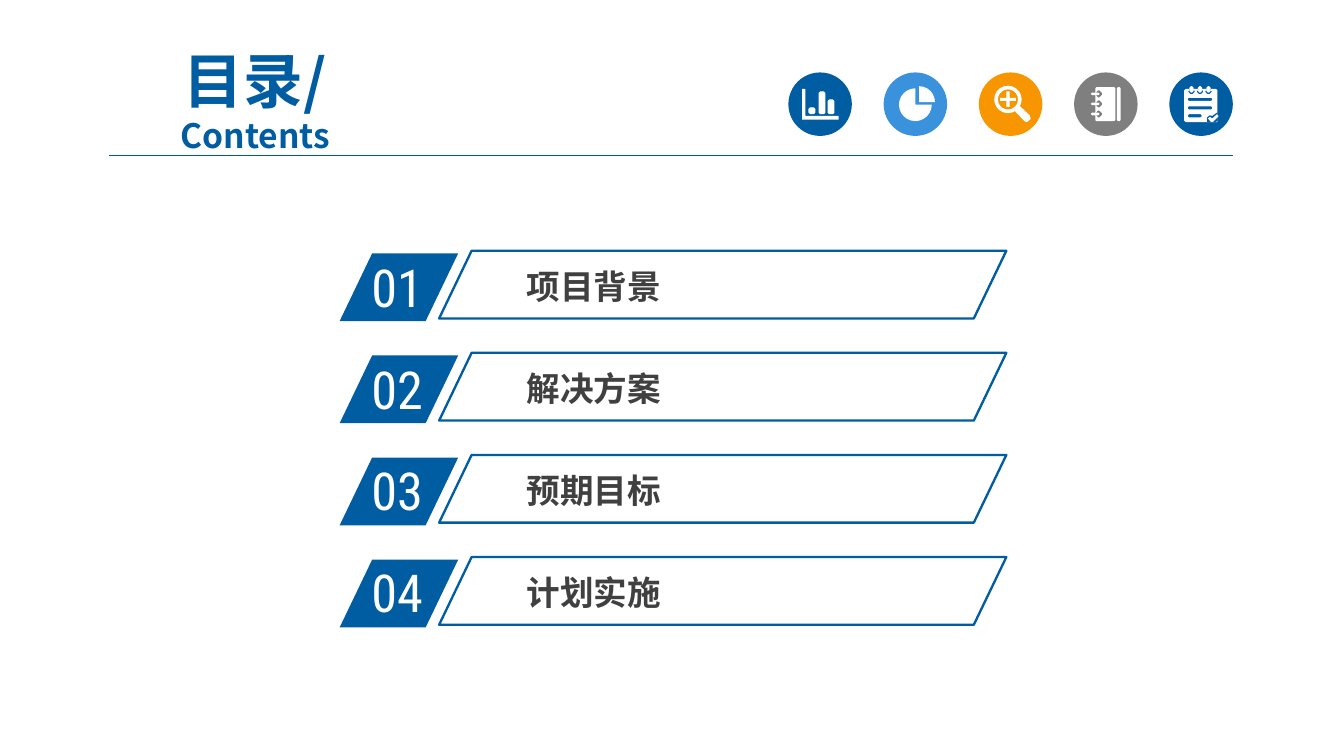
from math import cos, pi, sin

from lxml import etree
from pptx import Presentation
from pptx.dml.color import RGBColor
from pptx.enum.shapes import MSO_CONNECTOR, MSO_SHAPE
from pptx.enum.text import MSO_ANCHOR, PP_ALIGN
from pptx.oxml.ns import qn
from pptx.util import Cm, Pt

OVAL = MSO_SHAPE.OVAL
SLANTED = MSO_SHAPE.PARALLELOGRAM
STRAIGHT = MSO_CONNECTOR.STRAIGHT
MIDDLE = MSO_ANCHOR.MIDDLE
CENTER = PP_ALIGN.CENTER

CJK = "Noto Sans CJK SC"
NUMBER_FONT = "Roboto Condensed"
BLUE, WHITE = "005DA2", "FFFFFF"
rgb = RGBColor.from_string


def style(r, size, font, color, bold=False):
    r.font.size = Pt(size)
    r.font.bold = bold
    r.font.color.rgb = rgb(color)
    r.font.name = font
    etree.SubElement(r.font._element, qn("a:ea"), typeface=font)


def rounded(x, y, w, h, radius, steps=1):
    """Outline of a rounded box, clockwise from its right side."""
    corners = [(x + w - radius, y + h - radius), (x + radius, y + h - radius),
               (x + radius, y + radius), (x + w - radius, y + radius)]
    return [(cx + radius * cos(pi / 2 * (q + i / steps)),
             cy + radius * sin(pi / 2 * (q + i / steps)))
            for q, (cx, cy) in enumerate(corners) for i in range(steps + 1)]


prs = Presentation()
prs.slide_width, prs.slide_height = Cm(25.4), Cm(14.29)
s = prs.slides.add_slide(prs.slide_layouts[6])

# Title
tf = s.shapes.add_textbox(Cm(1.69), Cm(1.2), Cm(6.27), Cm(1.37)).text_frame
tf.word_wrap = True
tf.vertical_anchor = MIDDLE
p = tf.paragraphs[0]
p.alignment = CENTER
r = p.add_run()
r.text = "目录/"
style(r, 32, CJK, BLUE, True)
p.add_line_break()
r = p.add_run()
r.text = "Contents"
style(r, 18, CJK, BLUE, True)

# Header rule
rule = s.shapes.add_connector(STRAIGHT, Cm(2.06), Cm(2.94), Cm(23.3), Cm(2.94))
rule.line.color.rgb = rgb("005B9E")
rule.line.width = Pt(0.75)
etree.SubElement(rule._element.spPr, qn("a:effectLst"))

# Agenda numbers
topics = ["项目背景", "解决方案", "预期目标", "计划实施"]
for i in range(len(topics)):
    group = s.shapes.add_group_shape().shapes
    sp = group.add_shape(SLANTED, Cm(6.42), Cm(4.79 + 1.93 * i), Cm(2.24), Cm(1.28))
    sp.adjustments[0] = 0.48
    sp.shadow.inherit = False
    sp.fill.solid()
    sp.fill.fore_color.rgb = rgb(BLUE)
    sp.line.fill.background()

    tf = group.add_textbox(Cm(6.77), Cm(4.7 + 1.92 * i), Cm(2.13), Cm(1.24)).text_frame
    tf.word_wrap = True
    tf.text = f"{i + 1:02}"
    style(tf.paragraphs[0].runs[0], 28, NUMBER_FONT, WHITE)

# Agenda topics
for i, topic in enumerate(topics):
    y = 4.74 + 1.93 * i
    group = s.shapes.add_group_shape().shapes
    tf = group.add_textbox(Cm(9.77), Cm(y + 0.19), Cm(7.85), Cm(0.97)).text_frame
    tf.word_wrap = True
    tf.margin_left = tf.margin_right = Cm(0.18)
    tf.margin_top = tf.margin_bottom = Cm(0.1)
    tf.text = topic
    style(tf.paragraphs[0].runs[0], 18, CJK, "404040", True)

    sp = group.add_shape(SLANTED, Cm(8.3), Cm(y), Cm(10.72), Cm(1.28))
    sp.adjustments[0] = 0.48
    sp.shadow.inherit = False
    sp.fill.background()
    sp.line.color.rgb = rgb(BLUE)
    sp.line.width = Pt(1.25)

# Icon outlines in 0.01 cm from the badge corner; overlaps become holes
bar_chart = [
    [(26, 31), (32, 31), (32, 82), (95, 82), (95, 89), (26, 89)],
    rounded(38, 66, 13, 13, 3),
    rounded(57, 36, 13, 43, 3),
    rounded(74, 51, 13, 28, 3),
]
pie_chart = [
    [(60, 61)] + [(60 + 31 * cos(pi * a / 12), 61 + 31 * sin(pi * a / 12))
                  for a in range(19)],
    [(67, 56)] + [(67 + 30 * cos(pi * a / 12), 56 + 30 * sin(pi * a / 12))
                  for a in range(18, 25)],
]
magnifier = [
    rounded(29, 25, 52, 52, 26, 5),
    rounded(36, 32, 38, 38, 19, 5),
    [(68, 73), (73, 70), (78, 64), (96, 81), (98, 88), (91, 94), (86, 92)],
    [(52, 36), (58, 36), (58, 48), (70, 48), (70, 54), (58, 54),
     (58, 65), (52, 65), (52, 54), (40, 54), (40, 48), (52, 48)],
]
notebook = [rounded(40, 28, 38, 64, 2), rounded(81, 28, 7, 64, 2)]
for y in (34, 53, 72):
    notebook += [rounded(40, y, 13, 13, 5), rounded(32, y + 4, 16, 5, 2)]
checklist = [
    rounded(28, 31, 63, 63, 3),
    rounded(35, 48, 46, 6, 2),
    rounded(35, 64, 46, 6, 2),
    rounded(35, 79, 26, 6, 2),
    [(71, 94), (71, 85), (76, 81), (81, 82), (91, 75), (91, 94)],
    [(73, 87), (77, 84), (81, 87), (90, 79), (93, 83), (82, 94), (79, 94)],
]
for x in (36, 52, 68):
    checklist += [rounded(x, 31, 12, 10, 4), rounded(x + 2, 26, 8, 12, 3)]

# Icon badges: column, colour, outlines
badges = [(4, BLUE, checklist), (2, "F79600", magnifier), (3, "7F7F7F", notebook),
          (0, BLUE, bar_chart), (1, "3992DB", pie_chart)]
for column, color, outlines in badges:
    group = s.shapes.add_group_shape().shapes
    left, top = Cm(14.9 + 1.8 * column), Cm(1.37)
    badge = group.add_shape(OVAL, left, top, Cm(1.2), Cm(1.2))
    builder = None
    for outline in outlines:
        points = [(x * 10, y * 10) for x, y in outline]
        if builder is None:
            builder = group.build_freeform(*points[0], scale=Cm(0.001))
        else:
            builder.move_to(*points[0])
        builder.add_line_segments(points[1:], close=True)
    icon = builder.convert_to_shape(left, top)
    for sp, fill in [(badge, color), (icon, WHITE)]:
        sp.shadow.inherit = False
        sp.fill.solid()
        sp.fill.fore_color.rgb = rgb(fill)
        sp.line.fill.background()

prs.save("out.pptx")
